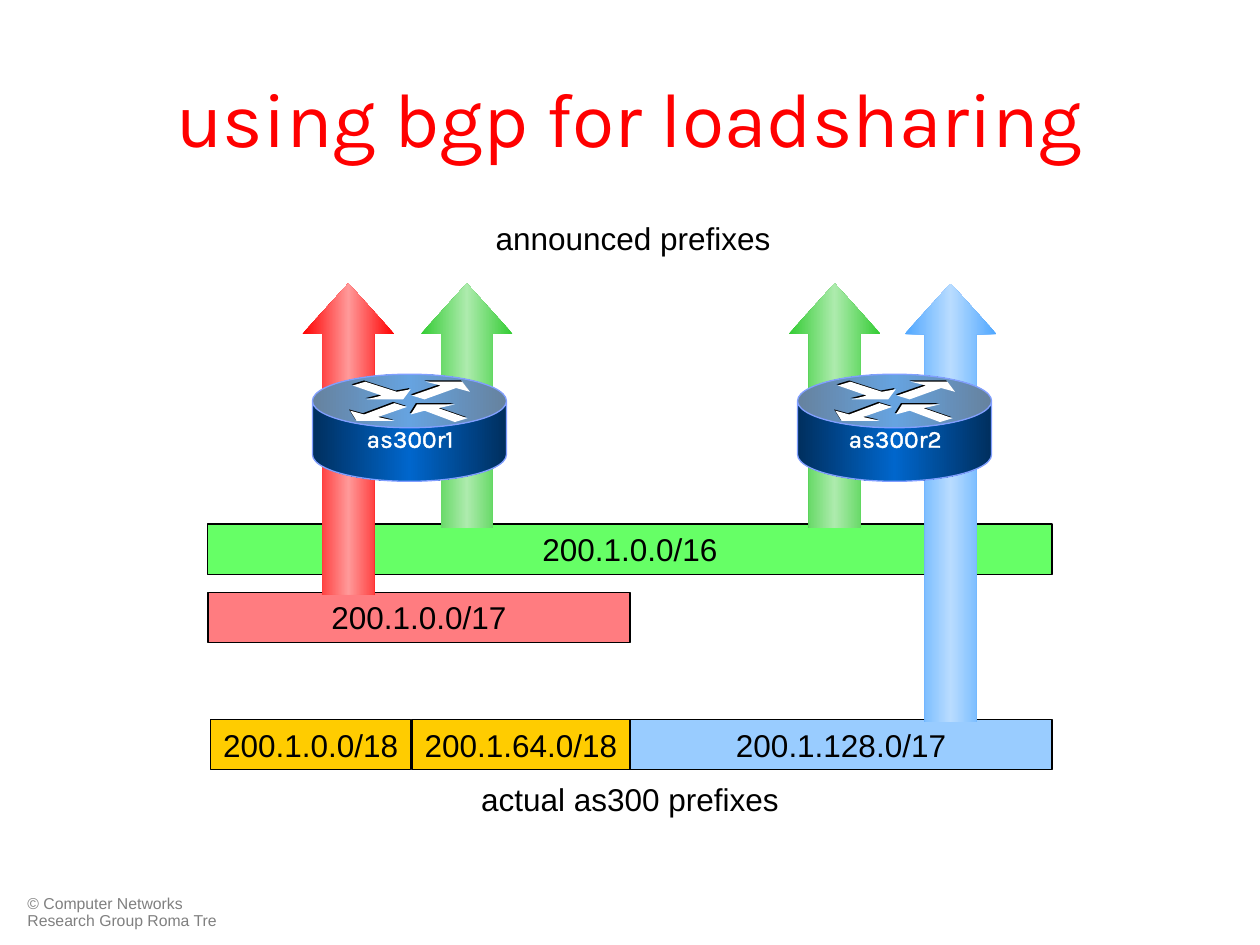
from copy import deepcopy

from lxml import etree
from pptx import Presentation
from pptx.dml.color import RGBColor
from pptx.enum.shapes import MSO_SHAPE
from pptx.enum.text import MSO_ANCHOR, MSO_AUTO_SIZE, PP_ALIGN
from pptx.oxml.ns import qn
from pptx.util import Inches, Pt

RECT, CAN, UP_ARROW = MSO_SHAPE.RECTANGLE, MSO_SHAPE.CAN, MSO_SHAPE.UP_ARROW
MIDDLE, TOP = MSO_ANCHOR.MIDDLE, MSO_ANCHOR.TOP
CENTER, LEFT = PP_ALIGN.CENTER, PP_ALIGN.LEFT

BLACK = RGBColor(0x00, 0x00, 0x00)
WHITE = RGBColor(0xFF, 0xFF, 0xFF)
GREY = RGBColor(0x80, 0x80, 0x80)
TITLE_RED = RGBColor(0xFF, 0x00, 0x00)
BAR_GREEN = RGBColor(0x66, 0xFF, 0x66)
BAR_RED = RGBColor(0xFF, 0x7C, 0x80)
BAR_YELLOW = RGBColor(0xFF, 0xCC, 0x00)
BAR_BLUE = RGBColor(0x99, 0xCC, 0xFF)
ROUTER_EDGE = RGBColor(0x81, 0x9F, 0xFF)
# Gradients: edge colour, middle colour
GREEN = RGBColor(0x33, 0xCC, 0x33), RGBColor(0xAD, 0xEB, 0xAD)
RED = RGBColor(0xFF, 0x00, 0x00), RGBColor(0xFF, 0x99, 0x99)
BLUE = RGBColor(0x4F, 0xA7, 0xFF), RGBColor(0xB9, 0xDC, 0xFF)
NAVY = RGBColor(0x00, 0x2F, 0x5E), RGBColor(0x00, 0x66, 0xCC)

# Arrows on a router's lid, in inches from the router's corner
LID_ARROWS = [
    [(0.79, 0.17), (0.89, 0.2), (1.14, 0.11), (1.25, 0.14), (1.19, 0.06), (0.9, 0.06), (1.02, 0.09)],
    [(0.75, 0.26), (0.65, 0.23), (0.41, 0.32), (0.3, 0.29), (0.35, 0.37), (0.65, 0.37), (0.52, 0.34)],
    [(0.32, 0.09), (0.42, 0.06), (0.67, 0.14), (0.78, 0.12), (0.72, 0.2), (0.43, 0.2), (0.55, 0.17)],
    [(1.23, 0.35), (1.13, 0.38), (0.89, 0.29), (0.78, 0.32), (0.83, 0.24), (1.13, 0.24), (1.0, 0.27)],
]
BAR_LEFT, BAR_WIDTH, BAR_HEIGHT = 1.65, 6.7, 0.4
ARROW_TOP, ARROW_WIDTH = 2.25, 0.73


def set_text(sp, text, size, color, font="Arial", align=CENTER, anchor=TOP, wrap=True):
    tf = sp.text_frame
    tf.text = text
    tf.word_wrap = wrap
    tf.auto_size = MSO_AUTO_SIZE.NONE
    tf.vertical_anchor = anchor
    p = tf.paragraphs[0]
    p.alignment = align
    p.font.size = Pt(size)
    p.font.name = font
    p.font.color.rgb = color
    return p


def add_text(shapes, box, *args, **kwargs):
    sp = shapes.add_textbox(*map(Inches, box))
    return set_text(sp, *args, **kwargs)


def fill_gradient(sp, edge, middle):
    """Shade from edge to middle and back to edge, left to right."""
    sp.fill.gradient()
    sp.fill.gradient_angle = 0
    first, last = sp.fill.gradient_stops
    first.color.rgb, first.position = edge, 0
    last.color.rgb, last.position = middle, 0.5
    stops = sp.fill._xPr.find(qn("a:gradFill")).find(qn("a:gsLst"))
    end = deepcopy(stops[0])
    end.set("pos", "100000")
    stops.append(end)


def add_bar(shapes, left, top, width, text, color, wrap=True):
    sp = shapes.add_shape(RECT, *map(Inches, (left, top, width, BAR_HEIGHT)))
    sp.shadow.inherit = False
    sp.fill.solid()
    sp.fill.fore_color.rgb = color
    sp.line.color.rgb = BLACK
    sp.line.width = Pt(0.75)
    set_text(sp, text, 18, BLACK, anchor=MIDDLE, wrap=wrap)


def add_announcement(shapes, left, height, colors):
    sp = shapes.add_shape(UP_ARROW, *map(Inches, (left, ARROW_TOP, ARROW_WIDTH, height)))
    sp.shadow.inherit = False
    sp.adjustments[0], sp.adjustments[1] = 0.56, 0.55
    fill_gradient(sp, *colors)
    sp.line.fill.background()


def add_router(shapes, left, top, name):
    group = shapes.add_group_shape().shapes
    can = group.add_shape(CAN, *map(Inches, (left, top, 1.54, 0.85)))
    can.shadow.inherit = False
    can.adjustments[0] = 0.5
    fill_gradient(can, *NAVY)
    can.line.color.rgb = ROUTER_EDGE
    can.line.width = Pt(0.75)

    for color, shift in ((BLACK, -0.01), (WHITE, 0)):
        for outline in LID_ARROWS:
            points = [(Inches(left + x + shift), Inches(top + y + shift)) for x, y in outline]
            builder = group.build_freeform(*points[0])
            builder.add_line_segments(points[1:])
            sp = builder.convert_to_shape()
            sp.shadow.inherit = False
            sp.fill.solid()
            sp.fill.fore_color.rgb = color
            sp.line.fill.background()

    p = add_text(group, (left + 0.08, top + 0.34, 1.39, 0.42), name, 14, WHITE, font="Karla", wrap=False)
    outline = etree.Element(qn("a:ln"), w=str(Pt(0.75)))
    solid = etree.SubElement(outline, qn("a:solidFill"))
    etree.SubElement(solid, qn("a:srgbClr"), val=str(WHITE))
    p.runs[0]._r.get_or_add_rPr().insert(0, outline)


def add_title(slide):
    title = slide.shapes.title
    title.left, title.top, title.width, title.height = map(Inches, (0.5, 0.3, 9, 1.25))
    set_text(title, "using bgp for loadsharing", 44, TITLE_RED, font="Karla", anchor=MIDDLE)


def add_diagram(shapes):
    half = BAR_WIDTH / 2
    middle = BAR_LEFT + half
    add_bar(shapes, BAR_LEFT, 4.16, BAR_WIDTH, "200.1.0.0/16", BAR_GREEN)
    for left in (3.34, 6.26):
        add_announcement(shapes, left, 1.94, GREEN)
    add_bar(shapes, BAR_LEFT, 4.7, half, "200.1.0.0/17", BAR_RED)
    add_announcement(shapes, 2.4, 2.47, RED)
    add_router(shapes, 2.48, 2.97, "as300r1")

    actual_top = 5.71
    add_bar(shapes, 1.67, actual_top, 1.59, "200.1.0.0/18", BAR_YELLOW, wrap=False)
    add_bar(shapes, 3.27, actual_top, 1.73, "200.1.64.0/18", BAR_YELLOW, wrap=False)
    add_bar(shapes, middle, actual_top, half, "200.1.128.0/17", BAR_BLUE)
    add_announcement(shapes, 7.18, 3.48, BLUE)
    add_router(shapes, 6.33, 2.97, "as300r2")

    add_text(shapes, (BAR_LEFT, 6.14, BAR_WIDTH, 0.4), "actual as300 prefixes", 18, BLACK)
    add_text(shapes, (2.21, 1.69, 5.63, 0.4), "announced prefixes", 18, BLACK)


def add_copyright(shapes):
    p = add_text(shapes, (0.12, 7.06, 1.73, 0.36),
                 "© Computer Networks Research Group Roma Tre", 9, GREY, align=LEFT)
    p.line_spacing = 0.9


def main():
    prs = Presentation()
    prs.slide_width, prs.slide_height = Inches(10), Inches(7.5)
    slide = prs.slides.add_slide(prs.slide_layouts[5])
    add_copyright(slide.shapes)
    add_title(slide)
    add_diagram(slide.shapes)
    prs.save("out.pptx")


if __name__ == "__main__":
    main()
